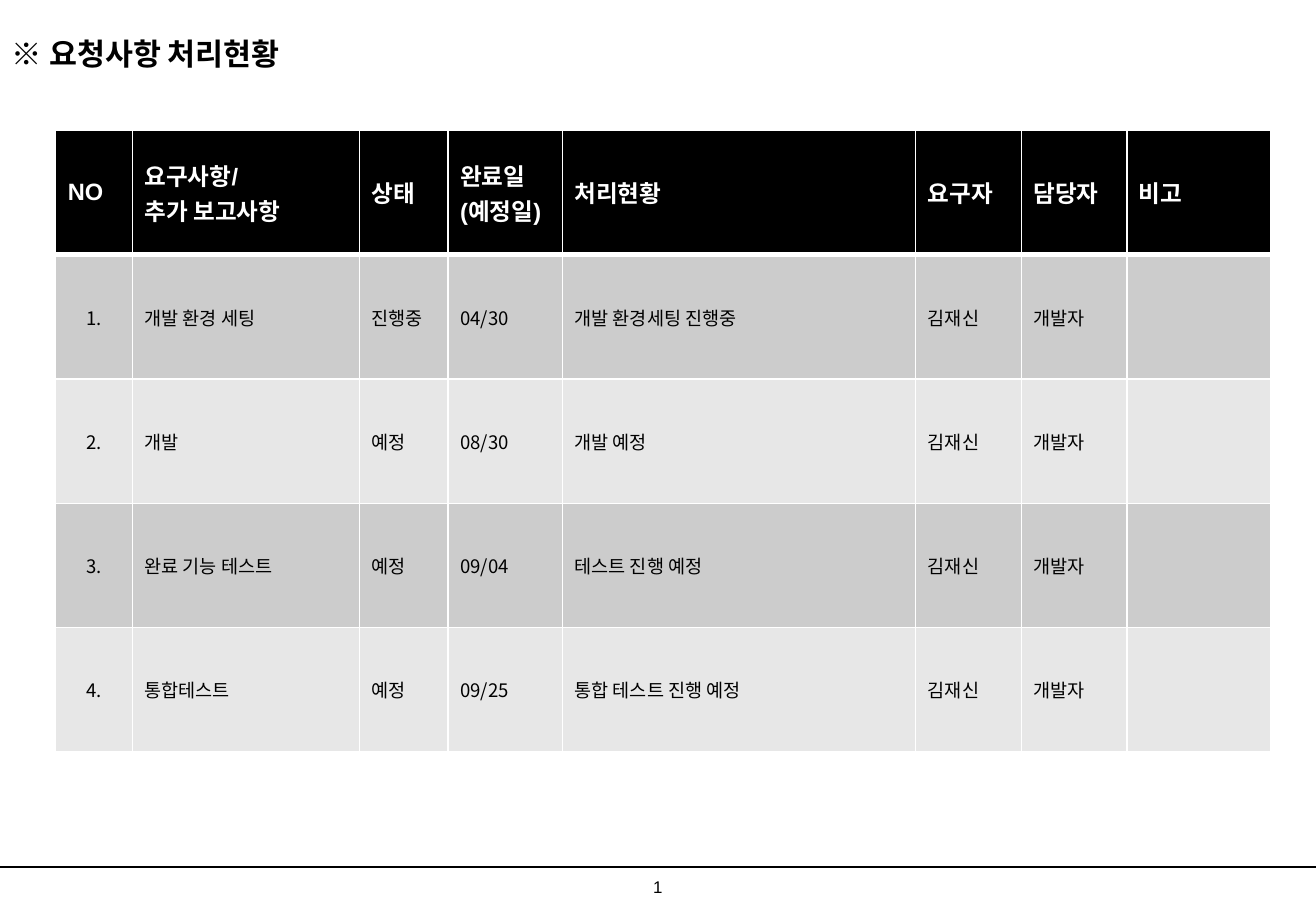
from pptx import Presentation as Deck
from pptx.util import Pt
from pptx.dml.color import RGBColor as RGB
from pptx.enum.shapes import MSO_CONNECTOR as Link
from pptx.enum.text import MSO_ANCHOR as Anchor, PP_ALIGN as Align
from pptx.oxml.ns import qn
from lxml.etree import SubElement as Sub

INK = {"black": "000000", "white": "FFFFFF", "dark": "CCCCCC", "light": "E7E7E7"}
KOR = "Noto Sans CJK KR"

# Text formats
TITLE = {"size": Pt(18), "name": "Arial", "bold": True}
HEAD = {"size": Pt(14), "name": "Arial", "bold": True}
BODY = {"size": Pt(11), "name": KOR, "bold": False}
PAGE = {"size": Pt(10), "name": "Arial", "bold": False}

# Table content
COLS = [45.4, 134.6, 52.6, 67.7, 209.5, 62.6, 62.6, 85]
NAMES = ["NO", "요구사항/\n추가 보고사항", "상태", "완료일(예정일)",
         "처리현황", "요구자", "담당자", "비고"]
TASKS = [
    ("개발 환경 세팅", "진행중", "04/30", "개발 환경세팅 진행중"),
    ("개발", "예정", "08/30", "개발 예정"),
    ("완료 기능 테스트", "예정", "09/04", "테스트 진행 예정"),
    ("통합테스트", "예정", "09/25", "통합 테스트 진행 예정"),
]


class Page:
    def __init__(self, deck):
        self.slide = deck.slides.add_slide(deck.slide_layouts[6])
        self.shapes = self.slide.shapes

    def words(self, frame, text, form, ink="black", align=Align.LEFT):
        frame.word_wrap = True
        for i, line in enumerate(text.split("\n")):
            para = frame.paragraphs[0] if i == 0 else frame.add_paragraph()
            para.alignment = align
            run = para.add_run()
            run.text = line
            for key, value in form.items():
                setattr(run.font, key, value)
            run.font.color.rgb = RGB.from_string(INK[ink])
            Sub(run._r.get_or_add_rPr(), qn("a:ea"), typeface=KOR)

    def label(self, box, text, form, anchor=Anchor.TOP):
        frame = self.shapes.add_textbox(*map(Pt, box)).text_frame
        frame.vertical_anchor = anchor
        self.words(frame, text, form)

    def rule(self, ends, width):
        line = self.shapes.add_connector(Link.STRAIGHT, *map(Pt, ends))
        line.line.color.rgb = RGB.from_string(INK["black"])
        line.line.width = Pt(width)
        Sub(line._element.spPr, qn("a:effectLst"))

    def edge(self, cell, top, bottom):
        props = cell._tc.get_or_add_tcPr()
        for side, width in zip("LRTB", (1, 1, top, bottom)):
            line = Sub(props, qn("a:ln" + side), w=str(Pt(width)))
            Sub(Sub(line, qn("a:solidFill")), qn("a:srgbClr"), val=INK["white"])

    def table(self, left, top, cols, high, rows):
        size = map(Pt, (left, top, sum(cols), high * len(rows)))
        grid = self.shapes.add_table(len(rows), len(cols), *size).table
        for col, width in zip(grid.columns, cols):
            col.width = Pt(width)
        for r, row in enumerate(rows):
            grid.rows[r].height = Pt(high)
            fill = "black" if r == 0 else "dark" if r % 2 else "light"
            form, ink = (BODY, "black") if r else (HEAD, "white")
            for c, text in enumerate(row):
                cell = grid.cell(r, c)
                self.edge(cell, 3 if r == 1 else 1, 1 if r else 3)
                cell.fill.solid()
                cell.fill.fore_color.rgb = RGB.from_string(INK[fill])
                cell.vertical_anchor = Anchor.MIDDLE
                if text:
                    align = Align.CENTER if r and c == 0 else Align.LEFT
                    self.words(cell.text_frame, text, form, ink, align)


def main():
    deck = Deck()
    deck.slide_width, deck.slide_height = Pt(780), Pt(540)
    page = Page(deck)

    # Footer
    page.label((380, 516, 27, 20), "1", PAGE)
    page.rule((0, 514, 780, 514), 0.75)

    # Request table
    tasks = [(f"{i}.", *task, "김재신", "개발자", "")
             for i, task in enumerate(TASKS, 1)]
    page.table(33, 77.3, COLS, 73.7, [NAMES, *tasks])

    # Title
    page.label((0, 9.4, 702, 44.6), "※ 요청사항 처리현황", TITLE, Anchor.MIDDLE)
    deck.save("out.pptx")


if __name__ == "__main__":
    main()
